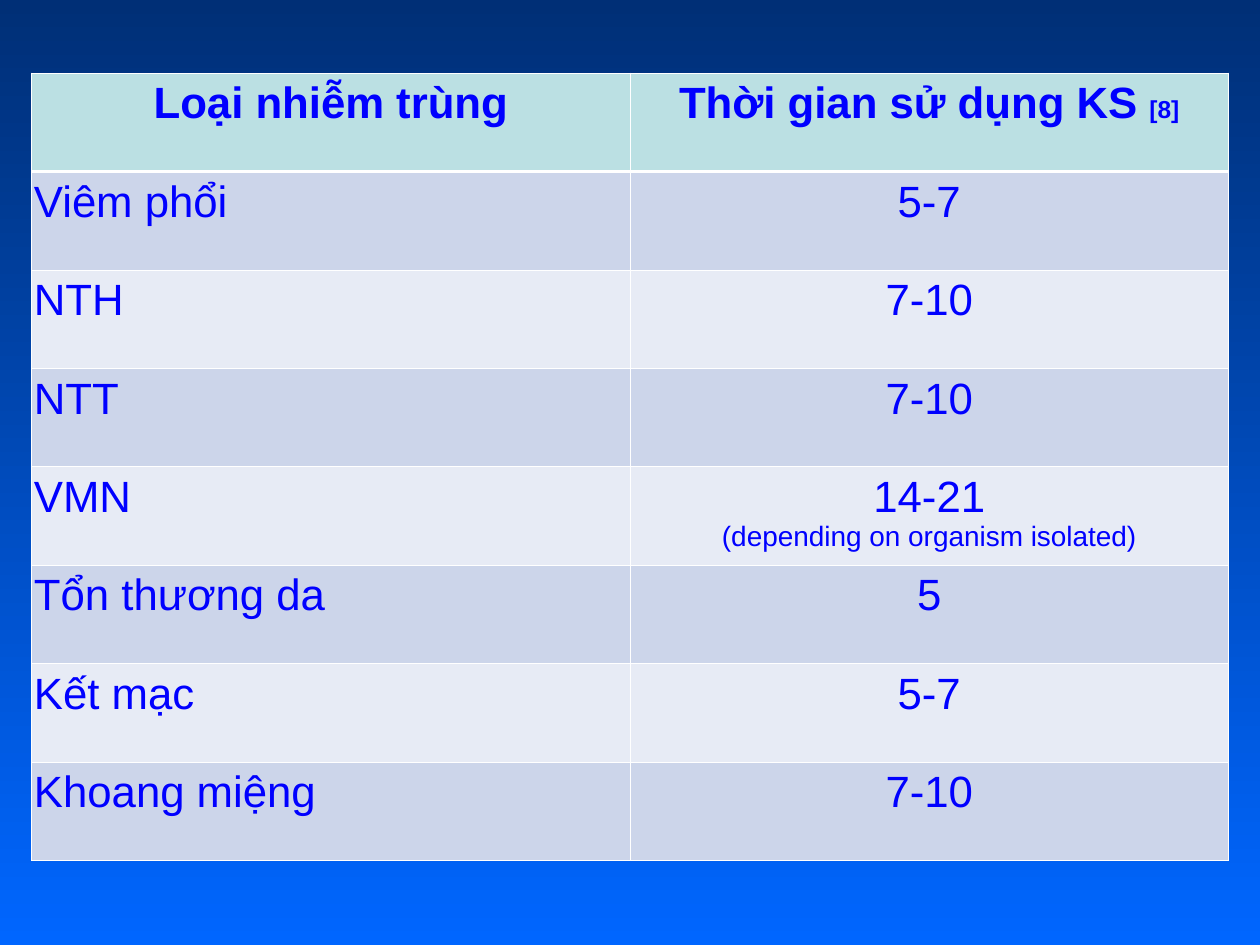
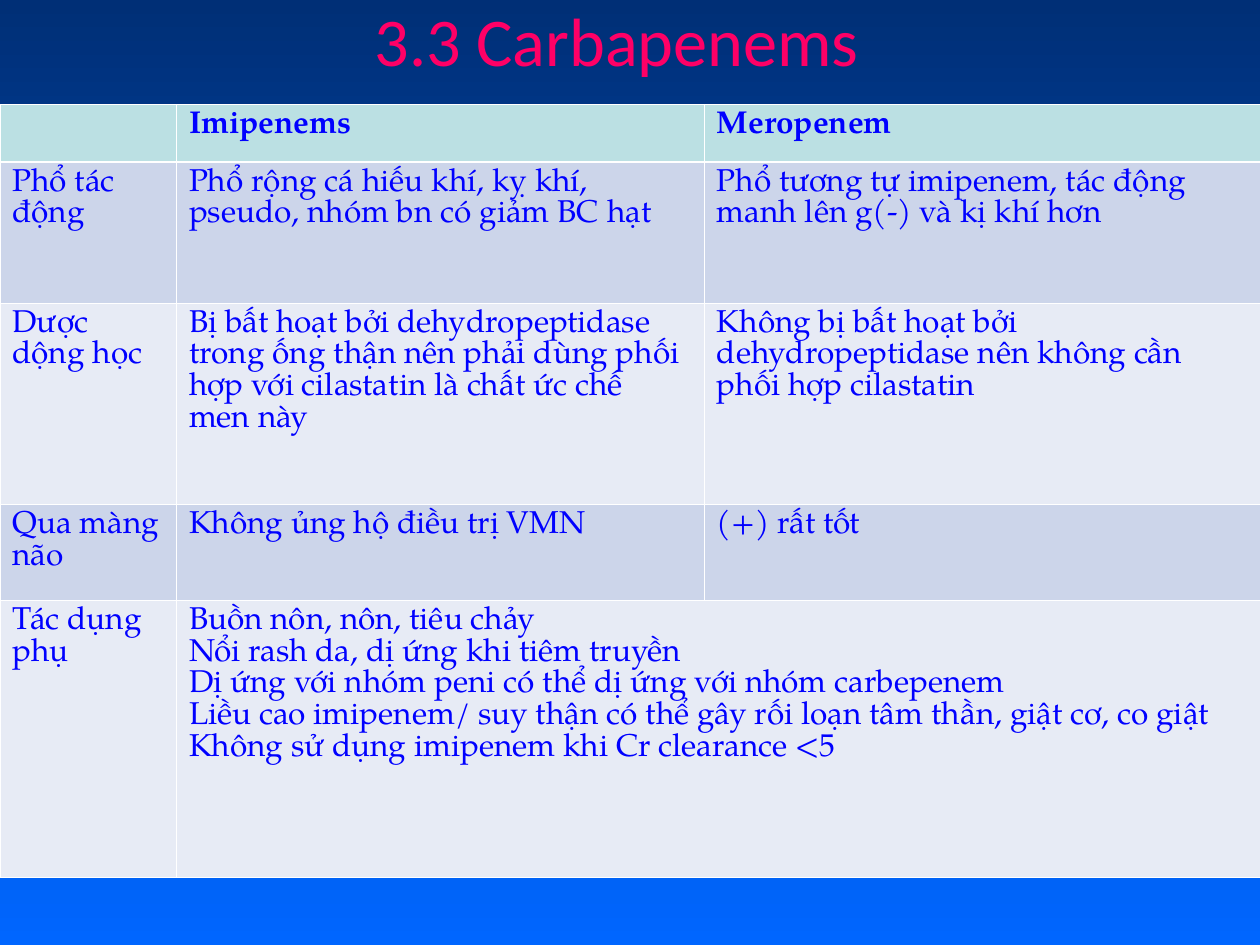
from lxml.etree import SubElement
from pptx import Presentation
from pptx.dml.color import RGBColor
from pptx.enum.text import MSO_ANCHOR as Anchor, PP_ALIGN as Align
from pptx.oxml import parse_xml
from pptx.oxml.ns import nsdecls, qn
from pptx.util import Inches, Pt

GRID_COLUMNS, GRID_ROWS = 100, 75
BLUE, PINK, WHITE = "0000FF", "FF0066", "FFFFFF"
HEADER_FILL, ROW_FILLS = "BBE0E3", ("CCD5EA", "E7EBF5")
BACKGROUND = ("002F76", "0066FF")
THIN, THICK = 0.45, 1.47


def color(hex_string):
    return RGBColor.from_string(hex_string)


def set_format(target, values):
    for name, value in values.items():
        setattr(target, name, value)


class Deck:
    """Holds the shared style and the slide being built."""

    def __init__(self):
        self.presentation = Presentation()
        set_format(self.presentation, {"slide_width": Inches(10), "slide_height": Inches(7.5)})
        self.slide = None

    def columns(self, count):
        return round(self.presentation.slide_width * count / GRID_COLUMNS)

    def rows(self, count):
        return round(self.presentation.slide_height * count / GRID_ROWS)

    def area(self, left, top, width, height):
        return self.columns(left), self.rows(top), self.columns(width), self.rows(height)

    def add_slide(self):
        self.slide = self.presentation.slides.add_slide(self.presentation.slide_layouts[6])
        fill = self.slide.background.fill
        fill.gradient()
        fill.gradient_angle = 270
        for stop, shade, position in zip(fill.gradient_stops, BACKGROUND, (0, 1)):
            stop.color.rgb = color(shade)
            stop.position = position

    def add_text(self, paragraph, text, font, shade=BLUE):
        run = paragraph.add_run()
        run.text = text
        set_format(run.font, font)
        run.font.color.rgb = color(shade)

    def add_title(self, text, area):
        frame = self.slide.shapes.add_textbox(*self.area(*area)).text_frame
        set_format(frame, {"word_wrap": True, "vertical_anchor": Anchor.BOTTOM,
                           "margin_left": 0, "margin_right": 0,
                           "margin_top": Inches(0.05), "margin_bottom": 0})
        paragraph = frame.paragraphs[0]
        paragraph.alignment = Align.CENTER
        self.add_text(paragraph, text, {"name": "Calibri", "size": Pt(39)}, PINK)

    def add_borders(self, cell, row):
        """Draw white borders, with a thick line under the header."""
        widths = {"L": THIN, "R": THIN,
                  "T": THICK if row == 1 else THIN,
                  "B": THICK if row == 0 else THIN}
        properties = cell._tc.get_or_add_tcPr()
        for index, (side, width) in enumerate(widths.items()):
            line = parse_xml(f'<a:ln{side} {nsdecls("a")} w="{Pt(width)}"/>')
            fill = SubElement(line, qn("a:solidFill"))
            SubElement(fill, qn("a:srgbClr"), val=WHITE)
            properties.insert(index, line)

    def add_table(self, area, column_widths, row_heights, content, font, margin,
                  alignments, header_alignment, small_sizes=None):
        """Each cell is a list of lines; small_sizes maps a text to its own size."""
        small_sizes = small_sizes or {}
        table = self.slide.shapes.add_table(
            len(row_heights), len(column_widths), *self.area(*area)).table
        set_format(table, {"first_row": False, "horz_banding": False})
        for column, width in zip(table.columns, column_widths):
            column.width = self.columns(width)
        for row, height in zip(table.rows, row_heights):
            row.height = self.rows(height)
        for row, texts in enumerate(content):
            for column, text in enumerate(texts):
                cell = table.cell(row, column)
                self.fill_cell(cell, row, margin)
                alignment = alignments[column] if row else header_alignment
                for index, line in enumerate(text.split("\n")):
                    frame = cell.text_frame
                    paragraph = frame.add_paragraph() if index else frame.paragraphs[0]
                    paragraph.alignment = alignment
                    for part, piece in enumerate(line.split("|")):
                        if part and row:
                            paragraph.add_line_break()
                        size = small_sizes.get(piece, font["size"])
                        self.add_text(paragraph, piece, {**font, "size": size, "bold": row == 0})
        return table

    def fill_cell(self, cell, row, margin):
        cell.fill.solid()
        cell.fill.fore_color.rgb = color(ROW_FILLS[(row - 1) % 2] if row else HEADER_FILL)
        set_format(cell, {"margin_left": Inches(margin), "margin_right": Inches(margin),
                          "margin_top": Inches(0.05), "margin_bottom": Inches(0.05),
                          "vertical_anchor": Anchor.TOP})
        self.add_borders(cell, row)


# In a cell, "\n" starts a paragraph; "|" starts a run, on a new line below the header.
DURATIONS = [
    ("Loại nhiễm trùng", "Thời gian sử dụng KS |[8]"),
    ("Viêm phổi", "5-7"),
    ("NTH", "7-10"),
    ("NTT", "7-10"),
    ("VMN", "14-21|(depending on organism isolated)"),
    ("Tổn thương da", "5"),
    ("Kết mạc", "5-7"),
    ("Khoang miệng", "7-10"),
]

CARBAPENEMS = [
    ("", "Imipenems", "Meropenem"),
    ("Phổ tác động",
     "Phổ rộng cá hiếu khí, kỵ khí, pseudo, nhóm bn có giảm BC hạt",
     "Phổ tương tự imipenem, tác động manh lên g(-) và kị khí hơn"),
    ("Dược dộng học",
     "Bị bất hoạt bởi dehydropeptidase trong ống thận nên phải dùng phối hợp với "
     "cilastatin là chất ức chế men này",
     "Không bị bất hoạt bởi dehydropeptidase nên không cần phối hợp cilastatin"),
    ("Qua màng não", "Không ủng hộ điều trị VMN", "(+) rất tốt"),
    ("Tác dụng phụ",
     "Buồn nôn, nôn, tiêu chảy\n"
     "Nổi rash da, dị ứng khi tiêm truyền\n"
     "Dị ứng với nhóm peni có thể dị ứng với nhóm carbepenem\n"
     "Liều cao imipenem/ suy thận có thể gây rối loạn tâm thần, giật cơ, co giật\n"
     "Không sử dụng imipenem khi Cr clearance <5",
     ""),
]


def build_durations(deck):
    deck.add_slide()
    height = 62.5
    deck.add_table(
        (2.5, 5.8, 95, height), [47.5] * 2, [height / len(DURATIONS)] * len(DURATIONS),
        DURATIONS, {"name": "Arial", "size": Pt(25)}, 0.02,
        (Align.LEFT, Align.CENTER), Align.CENTER,
        {"[8]": Pt(14), "(depending on organism isolated)": Pt(16)})


def build_carbapenems(deck):
    deck.add_slide()
    deck.add_title("3.3 Carbapenems", (4.2, 0.1, 89.5, 6.3))
    row_heights = (4.55, 11.2, 16, 7.6, 22)
    table = deck.add_table(
        (0, 8.3, 100, sum(row_heights)), (14, 41.9, 44.1), row_heights,
        CARBAPENEMS, {"name": "TeX Gyre Pagella", "size": Pt(18)}, 0.1,
        [Align.LEFT] * 3, Align.LEFT)
    table.cell(4, 1).merge(table.cell(4, 2))


def main():
    deck = Deck()
    build_durations(deck)
    build_carbapenems(deck)
    deck.presentation.save("out.pptx")


if __name__ == "__main__":
    main()
